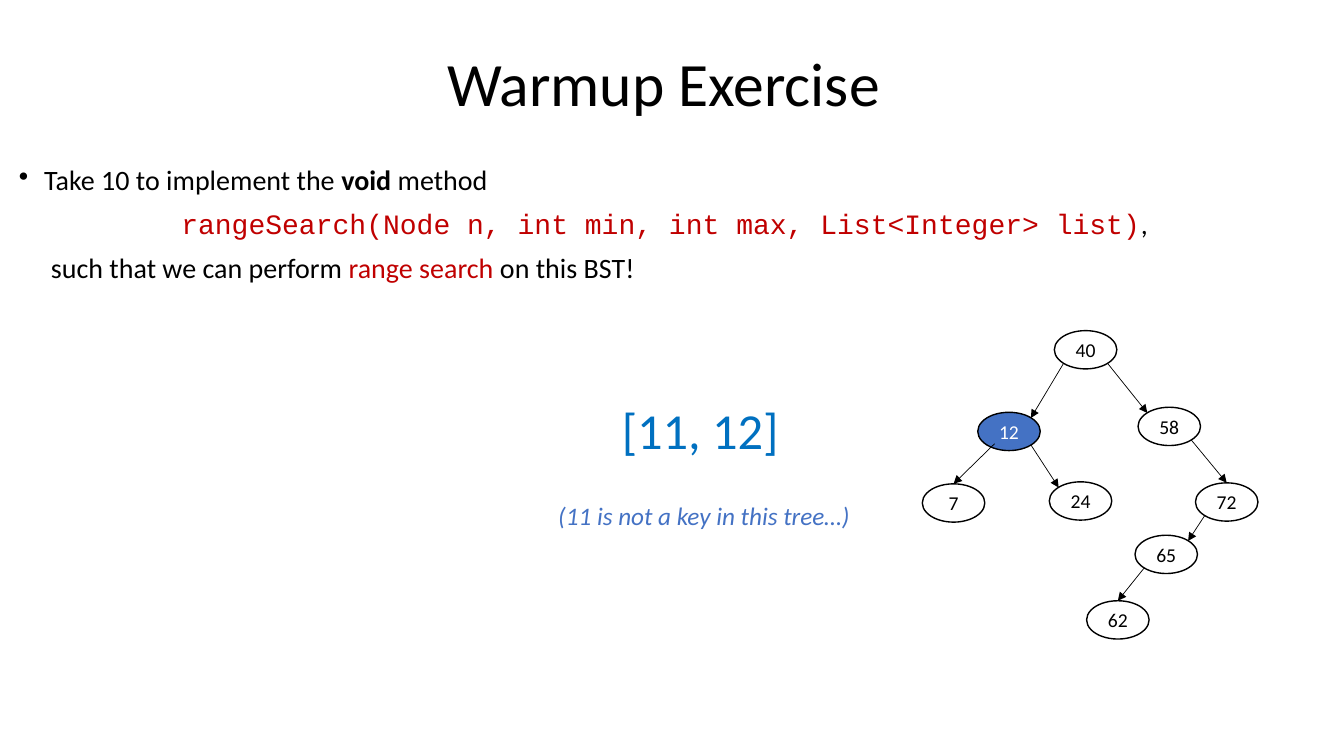
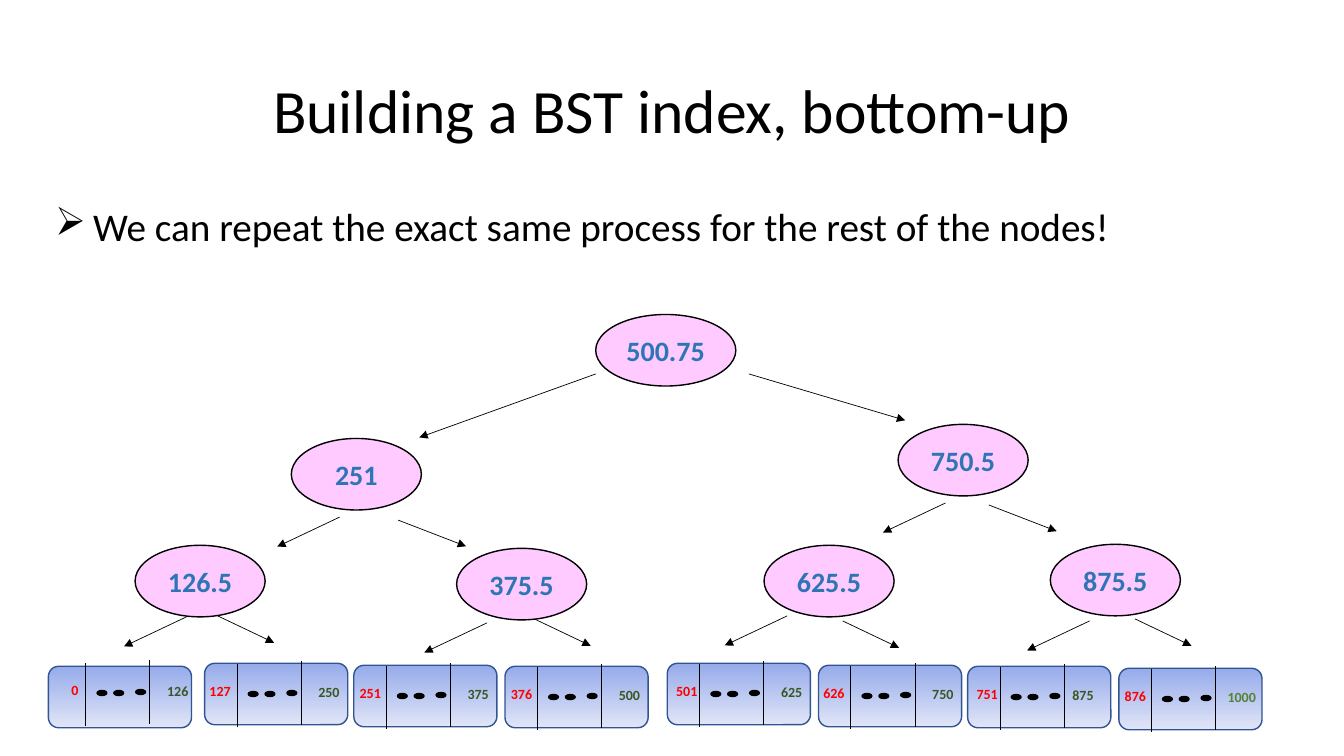
import dataclasses
import typing

import lxml.etree
import pptx
import pptx.dml.color
import pptx.enum.shapes
import pptx.enum.text
import pptx.oxml.ns
import pptx.util

SHAPE = pptx.enum.shapes.MSO_SHAPE
ALIGN = pptx.enum.text.PP_ALIGN
MIDDLE = pptx.enum.text.MSO_ANCHOR.MIDDLE

# The slide is a grid of square cells, 40 columns by 22.5 rows
COLUMNS, ROWS = 40, 22.5
CELL = pptx.util.Inches(1 / 3)


@dataclasses.dataclass(frozen=True)
class Theme:
    body_font: str = "Calibri"
    code_font: str = "Courier New"
    ink: str = "000000"
    white: str = "FFFFFF"
    accent: str = "4472C4"
    code: str = "C00000"
    search_range: str = "0070C0"
    index_fill: str = "FECAFF"
    index_text: str = "2E75B6"
    bucket_top: str = "96ABEA"
    bucket_bottom: str = "E0E5F7"
    bucket_edge: str = "325491"
    low_key: str = "FF0000"
    high_key: str = "385723"
    last_key: str = "548235"
    title_size: int = 44
    range_size: int = 36
    statement_size: int = 28
    text_size: int = 20
    note_size: int = 18
    node_size: int = 14
    key_size: int = 10
    outline: float = 1
    hairline: float = 0.5


THEME = Theme()


class Point(typing.NamedTuple):
    x: float
    y: float


class Box(typing.NamedTuple):
    left: float
    top: float
    width: float
    height: float

    def at(self, share: Point) -> Point:
        return Point(self.left + share.x * self.width, self.top + share.y * self.height)


class Span(typing.NamedTuple):
    text: str
    size: float = THEME.text_size
    color: str = THEME.ink
    bold: bool = False
    italic: bool = False
    font: str = THEME.body_font


@dataclasses.dataclass(frozen=True)
class Line:
    spans: tuple[Span, ...]
    align: typing.Any = None
    indent: float = 0
    bullet: str = ""
    spacing: float = 1
    before: float = 0


class Bucket(typing.NamedTuple):
    left: float
    top: float
    low: str
    high: str
    low_offset: float
    high_offset: float = 3.09
    shift: Point = Point(0, 0)
    high_color: str = THEME.high_key


def rgb(value: str) -> pptx.dml.color.RGBColor:
    return pptx.dml.color.RGBColor.from_string(value)


def cells(*values: float) -> list[int]:
    return [round(value * CELL) for value in values]


# Text
def write(frame, lines: typing.Sequence[Line]) -> None:
    frame.word_wrap = True
    for number, line in enumerate(lines):
        paragraph = frame.paragraphs[0] if number == 0 else frame.add_paragraph()
        properties = paragraph._p.get_or_add_pPr()
        if line.indent:
            margin = round(line.indent * CELL)
            properties.set("marL", str(margin))
            properties.set("indent", str(-margin if line.bullet else 0))
        if line.bullet:
            lxml.etree.SubElement(properties, pptx.oxml.ns.qn("a:buChar"), char=line.bullet)
        paragraph.alignment = line.align
        paragraph.line_spacing = line.spacing
        if number:
            paragraph.space_before = pptx.util.Pt(line.before)
        for span in line.spans:
            run = paragraph.add_run()
            run.text = span.text
            run.font.name = span.font
            run.font.size = pptx.util.Pt(span.size)
            run.font.bold, run.font.italic = span.bold, span.italic
            run.font.color.rgb = rgb(span.color)


def add_text(slide, box: Box, *lines: Line) -> None:
    write(slide.shapes.add_textbox(*cells(*box)).text_frame, lines)


def add_titled_slide(deck, title: str, box: Box):
    slide = deck.slides.add_slide(deck.slide_layouts[5])
    heading = slide.shapes.title
    heading.left, heading.top, heading.width, heading.height = cells(*box)
    heading.text_frame.vertical_anchor = MIDDLE
    write(heading.text_frame, [Line((Span(title, THEME.title_size),), ALIGN.CENTER, spacing=0.9)])
    return slide


# Shapes and lines
def add_outlined(slide, preset, box: Box, fill: str = "", edge: str = THEME.ink):
    shape = slide.shapes.add_shape(preset, *cells(*box))
    shape.shadow.inherit = False
    shape.line.color.rgb = rgb(edge)
    shape.line.width = pptx.util.Pt(THEME.outline)
    if fill:
        shape.fill.solid()
        shape.fill.fore_color.rgb = rgb(fill)
    else:
        shape.fill.background()
    return shape


def add_node(slide, box: Box, label: Span, fill: str = "") -> None:
    frame = add_outlined(slide, SHAPE.OVAL, box, fill).text_frame
    frame.margin_left = frame.margin_right = frame.margin_top = frame.margin_bottom = 0
    frame.vertical_anchor = MIDDLE
    write(frame, [Line((label,), ALIGN.CENTER)])


def add_line(slide, start: Point, end: Point, arrow: bool = False) -> None:
    line = slide.shapes.add_connector(
        pptx.enum.shapes.MSO_CONNECTOR.STRAIGHT, *cells(*start, *end))
    line.line.color.rgb = rgb(THEME.ink)
    line.line.width = pptx.util.Pt(THEME.hairline)
    if arrow:
        lxml.etree.SubElement(line.line._get_or_add_ln(), pptx.oxml.ns.qn("a:tailEnd"), type="triangle")
    lxml.etree.SubElement(line._element.spPr, pptx.oxml.ns.qn("a:effectLst"))


# Warmup slide: search tree, with arrow ends as shares of a node's box
TOP = Point(0.5, 0)
TOP_LEFT, TOP_RIGHT = Point(0.15, 0.15), Point(0.85, 0.15)
LOW_LEFT, LOW_RIGHT = Point(0.15, 0.85), Point(0.85, 0.85)
TREE_NODES = {
    "40": Point(31.38, 9.84), "12": Point(29.1, 12.27), "24": Point(31.23, 14.34),
    "58": Point(33.87, 12.12), "7": Point(27.45, 14.4), "72": Point(35.58, 14.37),
    "65": Point(33.78, 15.93), "62": Point(32.34, 17.88),
}
TREE_EDGES = (
    ("40", LOW_LEFT, "12", TOP_RIGHT), ("40", LOW_RIGHT, "58", TOP_LEFT),
    ("12", Point(0.27, 0.82), "7", TOP), ("12", LOW_RIGHT, "24", TOP_LEFT),
    ("58", LOW_RIGHT, "72", TOP), ("72", LOW_LEFT, "65", TOP_RIGHT),
    ("65", LOW_LEFT, "62", TOP),
)
FOUND_KEY = "12"


def build_warmup(deck) -> None:
    slide = add_titled_slide(deck, "Warmup Exercise", Box(3.33, 0.75, 32.85, 3.66))
    add_text(
        slide, Box(0.27, 4.8, 39.21, 4.5),
        Line((Span("Take 10 to implement the "), Span("void ", bold=True), Span("method")),
             indent=0.75, bullet="•", spacing=0.9),
        Line((Span("rangeSearch(Node n, int min, int max, List<Integer> list)",
                   color=THEME.code, font=THEME.code_font), Span(", ")),
             ALIGN.CENTER, spacing=0.9, before=10),
        Line((Span("such that we can perform "), Span("range search ", color=THEME.code),
              Span("on this BST!")), indent=0.95, spacing=0.9, before=10))

    boxes = {key: Box(*place, 1.86, 1.14) for key, place in TREE_NODES.items()}
    for key, box in boxes.items():
        found = key == FOUND_KEY
        label = Span(key, THEME.node_size, THEME.white if found else THEME.ink)
        add_node(slide, box, label, THEME.accent if found else "")
    for parent, leaving, child, entering in TREE_EDGES:
        add_line(slide, boxes[parent].at(leaving), boxes[child].at(entering), arrow=True)

    add_text(slide, Box(18.21, 11.73, 8.73, 2.13),
             Line((Span("[11, 12]", THEME.range_size, THEME.search_range),)))
    add_text(slide, Box(16.32, 14.73, 10.11, 1.2),
             Line((Span("(11 is not a key in this tree…)", THEME.note_size, THEME.accent, italic=True),)))


# Index slide: inner nodes, arrows grouped by reach, and leaf buckets
INDEX_NODES = (
    ("500.75", Box(17.73, 9.36, 4.17, 2.13)),
    *((key, Box(left, top, 3.87, 2.13)) for key, left, top in (
        ("251", 8.67, 13.05), ("750.5", 26.73, 12.63), ("126.5", 4.02, 16.23),
        ("375.5", 13.59, 16.32), ("625.5", 22.74, 16.23), ("875.5", 31.26, 16.2))),
)
INDEX_ARROWS = {
    Point(-5.25, 1.89): (Point(17.73, 11.13),),
    Point(4.65, 1.38): (Point(22.29, 11.13),),
    Point(2.02, 0.78): (Point(11.85, 15.48), Point(29.43, 15.03)),
    Point(-1.86, 0.88): (
        Point(10.11, 15.39), Point(28.14, 14.97), Point(5.55, 18.36),
        Point(14.49, 18.54), Point(23.43, 18.33), Point(32.43, 18.48)),
    Point(1.68, 0.8): (
        Point(6.48, 18.33), Point(15.9, 18.42), Point(25.08, 18.48), Point(33.78, 18.42)),
}
BUCKETS = (
    Bucket(1.44, 19.83, "0", "126", 0.39, 3.24, Point(0.15, -0.12)),
    Bucket(6.09, 19.74, "127", "250", -0.15),
    Bucket(10.53, 19.8, "251", "375", -0.12),
    Bucket(15.03, 19.83, "376", "500", -0.12),
    Bucket(19.86, 19.74, "501", "625", -0.03),
    Bucket(24.36, 19.8, "626", "750", -0.15),
    Bucket(28.8, 19.83, "751", "875", -0.03, 2.82),
    Bucket(33.3, 19.89, "876", "1000", -0.12, 2.94, high_color=THEME.last_key),
)


def add_bucket(slide, bucket: Bucket) -> None:
    body = add_outlined(slide, SHAPE.ROUNDED_RECTANGLE,
                        Box(bucket.left, bucket.top, 4.26, 1.83), edge=THEME.bucket_edge)
    body.fill.gradient()
    body.fill.gradient_angle = 270
    for stop, color in zip(body.fill.gradient_stops, (THEME.bucket_top, THEME.bucket_bottom)):
        stop.color.rgb = rgb(color)

    # Dividers and the dots between them
    left, top = bucket.left + bucket.shift.x, bucket.top + bucket.shift.y
    for x, y in ((0.96, 0.01), (2.87, -0.06)):
        add_line(slide, Point(left + x, top + y), Point(left + x, top + y + 1.9))
    for x, y in ((1.3, 0.84), (1.8, 0.84), (2.45, 0.81)):
        add_outlined(slide, SHAPE.OVAL, Box(left + x, top + y, 0.29, 0.15), THEME.ink)

    # Lowest and highest key
    for key, x, y, width, color in (
            (bucket.low, bucket.low_offset, 0.42, 1.38, THEME.low_key),
            (bucket.high, bucket.high_offset, 0.46, 1.77, bucket.high_color)):
        add_text(slide, Box(bucket.left + x, top + y, width, 0.81),
                 Line((Span(key, THEME.key_size, color, bold=True),)))


def build_index(deck) -> None:
    slide = add_titled_slide(deck, "Building a BST index, bottom-up", Box(2.76, 1.2, 34.5, 4.35))
    statement = "We can repeat the exact same process for the rest of the nodes!"
    add_text(slide, Box(1.35, 5.88, 37.5, 1.71),
             Line((Span(statement, THEME.statement_size),), indent=1.13, bullet="➢"))
    for bucket in BUCKETS:
        add_bucket(slide, bucket)
    for key, box in INDEX_NODES:
        add_node(slide, box, Span(key, color=THEME.index_text, bold=True), THEME.index_fill)
    for reach, starts in INDEX_ARROWS.items():
        for start in starts:
            add_line(slide, start, Point(start.x + reach.x, start.y + reach.y), arrow=True)


def main() -> None:
    deck = pptx.Presentation()
    deck.slide_width, deck.slide_height = cells(COLUMNS, ROWS)
    build_warmup(deck)
    build_index(deck)
    deck.save("out.pptx")


if __name__ == "__main__":
    main()
